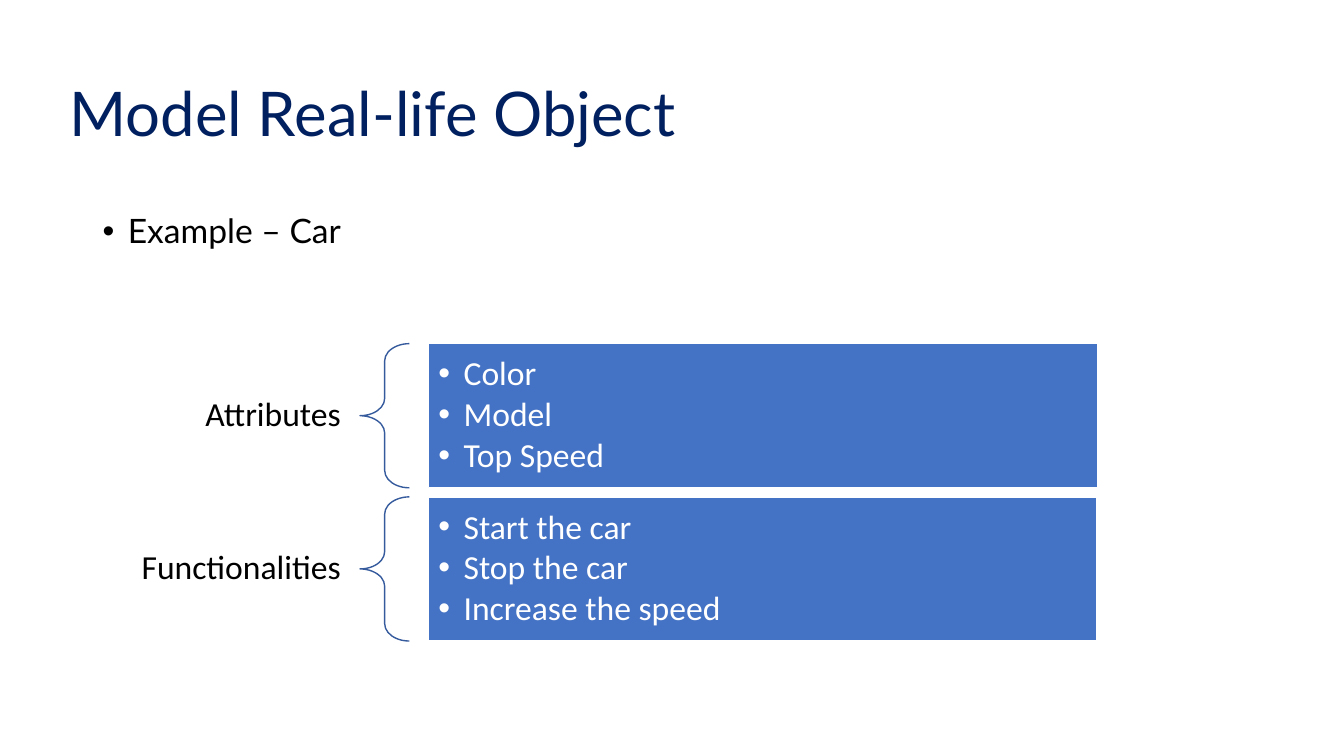
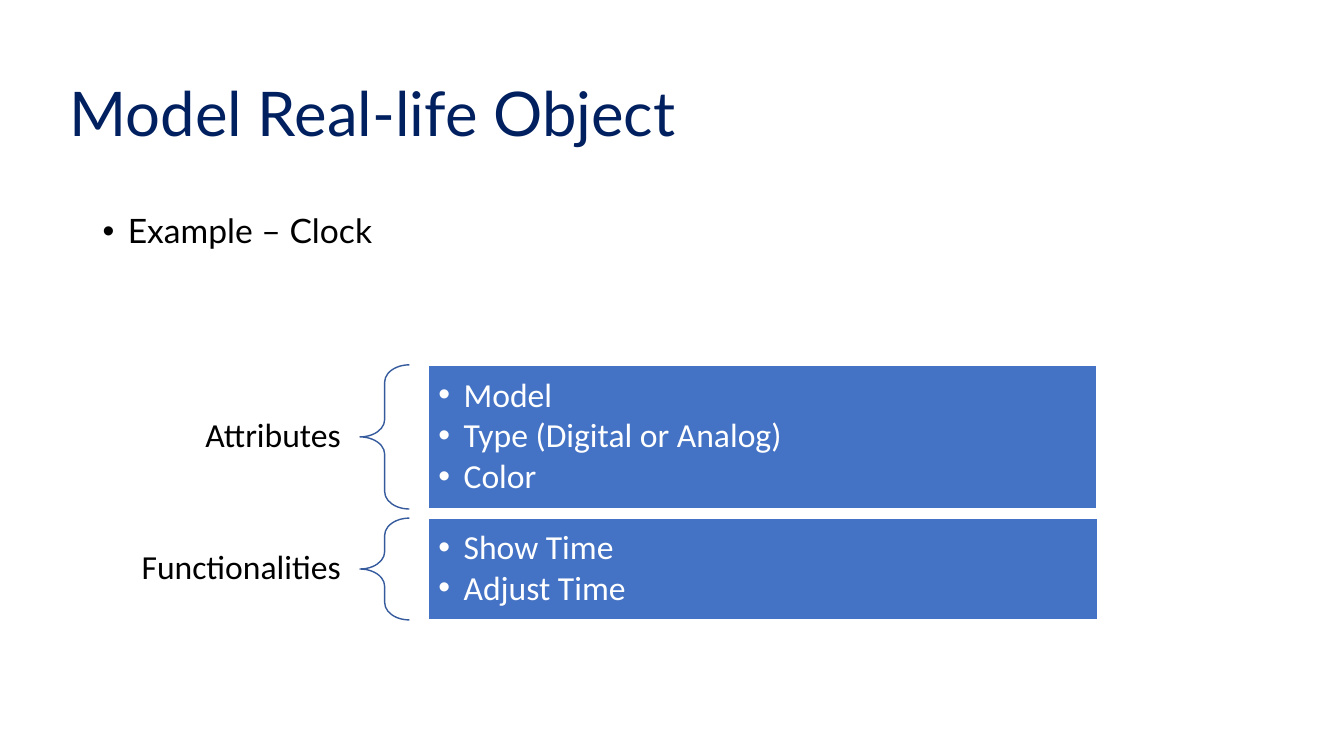
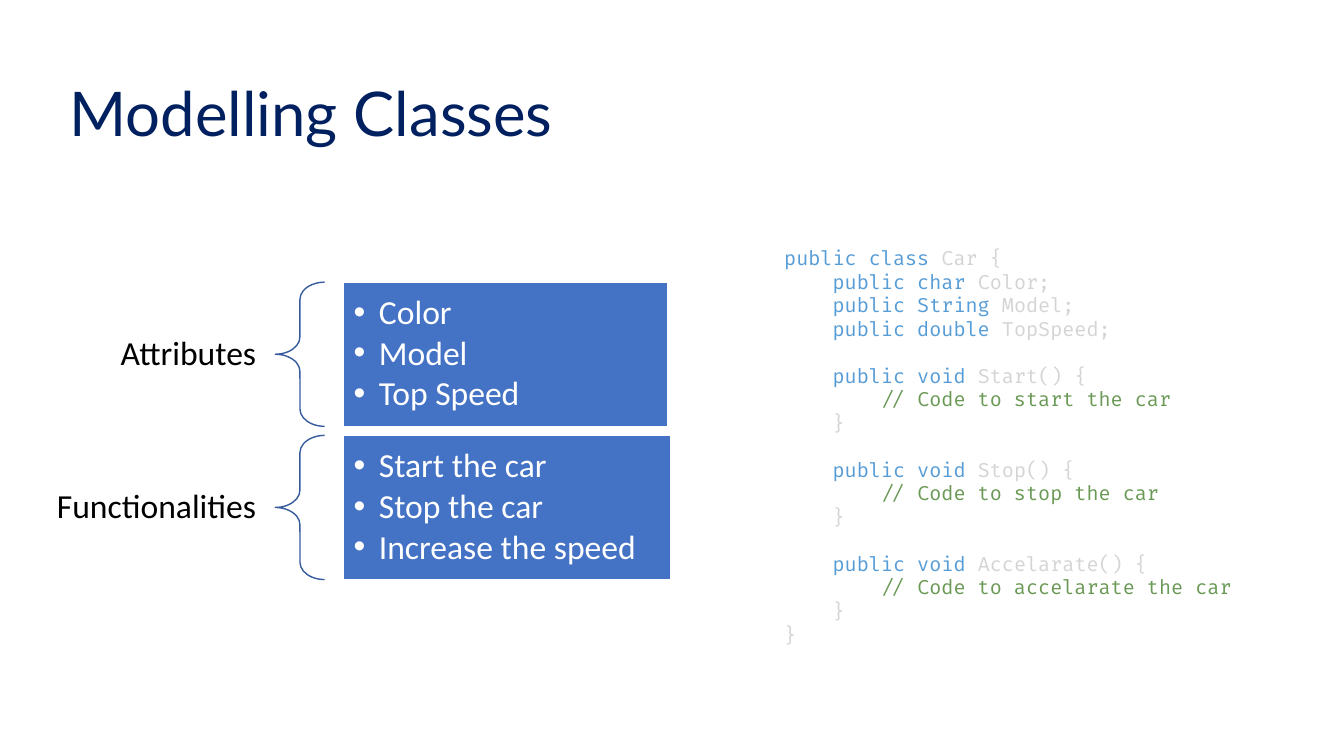
from lxml import etree
from pptx import Presentation, util as u
from pptx.dml.color import RGBColor
from pptx.enum import shapes, text
from pptx.oxml.ns import qn

PX = 9144  # 100 px to the inch

COLORS = {
    "title": "002060", "ink": "000000", "white": "FFFFFF",
    "panel": "4472C4", "brace": "365B9D",
    "keyword": "569CD6", "plain": "D4D4D4", "comment": "6A9955",
}

# Content: each group is (label, panel width, bullet items)
CAR_ATTRIBUTES = ["Color", "Model", "Top Speed"]
CAR_FUNCTIONS = ["Start the car", "Stop the car", "Increase the speed"]
FIELDS = [("char", "Color"), ("String", "Model"), ("double", "TopSpeed")]
METHODS = [("Start", "start"), ("Stop", "stop"), ("Accelarate", "accelarate")]

SLIDES = [
    {"title": "Model Real-life Object", "example": "Example – Car",
     "left": 113, "middle": 488,
     "groups": [("Attributes", 664, CAR_ATTRIBUTES),
                ("Functionalities", 663, CAR_FUNCTIONS)]},
    {"title": "Model Real-life Object", "example": "Example – Clock",
     "left": 113, "middle": 488,
     "groups": [("Attributes", 663, ["Model", "Type (Digital or Analog)", "Color"]),
                ("Functionalities", 664, ["Show Time", "Adjust Time"])]},
    {"title": "Modelling Classes", "code": True,
     "left": 29, "middle": 427,
     "groups": [("Attributes", 321, CAR_ATTRIBUTES),
                ("Functionalities", 324, CAR_FUNCTIONS)]},
]

# Layout in px
TITLE_BOX = (59, 43, 1150, 145)
BODY_BOX = (92, 208, 1150, 426)
CODE_BOX = (768, 239, 510, 411)
LABEL_WIDTH, LABEL_HEIGHT, BRACE_WIDTH = 244, 52, 49
PANEL_GAP, ROW_GAP = 19, 9
ITEM_HEIGHT, PANEL_PADDING = 42, 17
BULLET_INDENT, CODE_INDENT = 25, 48
CODE_LINE = 16.8  # points


def rgb(name):
    return RGBColor.from_string(COLORS[name])


def emu(box):
    return [round(length * PX) for length in box]


def add_run(paragraph, words, size, font, color):
    run = paragraph.add_run()
    run.text = words
    run.font.size = u.Pt(size)
    run.font.name = font
    run.font.color.rgb = rgb(color)


def set_indent(paragraph, left, bullet=False):
    properties = paragraph._p.get_or_add_pPr()
    properties.set("marL", str(left * PX))
    properties.set("indent", str(-left * PX if bullet else 0))
    if bullet:
        etree.SubElement(properties, qn("a:buFont")).set("typeface", "Arial")
        etree.SubElement(properties, qn("a:buChar")).set("char", "•")


def set_frame(shape, insets=(10, 5), anchor=text.MSO_ANCHOR.MIDDLE):
    frame = shape.text_frame
    frame.word_wrap = True
    frame.vertical_anchor = anchor
    frame.margin_left = frame.margin_right = insets[0] * PX
    frame.margin_top = frame.margin_bottom = insets[1] * PX
    return frame


def add_lines(frame, lines, size, font, color, before=0, after=0,
              align=text.PP_ALIGN.LEFT, bullet=False):
    for index, line in enumerate(lines):
        paragraph = frame.add_paragraph() if index else frame.paragraphs[0]
        paragraph.alignment = align
        paragraph.line_spacing = 0.9
        paragraph.space_before = u.Pt(before)
        paragraph.space_after = u.Pt(after)
        if bullet:
            set_indent(paragraph, BULLET_INDENT, bullet=True)
        add_run(paragraph, line, size, font, color)


def add_group(slide, left, top, height, label, width, items):
    # Label
    label_top = top + (height - LABEL_HEIGHT) / 2
    box = slide.shapes.add_textbox(*emu((left, label_top, LABEL_WIDTH, LABEL_HEIGHT)))
    add_lines(set_frame(box, (19, 7)), [label], 24, "Calibri", "ink",
              after=8.4, align=text.PP_ALIGN.RIGHT)

    # Brace
    brace_left = left + LABEL_WIDTH
    brace = slide.shapes.add_shape(shapes.MSO_SHAPE.LEFT_BRACE,
                                   *emu((brace_left, top, BRACE_WIDTH, height)))
    brace.adjustments[0] = 0.35
    brace.fill.background()

    # Panel
    panel_left = brace_left + BRACE_WIDTH + PANEL_GAP
    panel = slide.shapes.add_shape(shapes.MSO_SHAPE.RECTANGLE,
                                   *emu((panel_left, top, width, height)))
    panel.fill.solid()
    panel.fill.fore_color.rgb = rgb("panel")
    add_lines(set_frame(panel, (10, 10)), items, 24, "Calibri", "white",
              after=3.2, bullet=True)

    for shape, color in ((brace, "brace"), (panel, "white")):
        shape.shadow.inherit = False
        shape.line.color.rgb = rgb(color)
        shape.line.width = u.Pt(1)


def add_groups(slide, left, middle, groups):
    heights = [ITEM_HEIGHT * len(items) + PANEL_PADDING for _, _, items in groups]
    top = middle - (sum(heights) + ROW_GAP * (len(groups) - 1)) // 2
    for height, group in zip(heights, groups):
        add_group(slide, left, top, height, *group)
        top += height + ROW_GAP


def code_lines():
    """Yield (indent level, blank line above, runs)."""
    yield 0, False, [("public class", "keyword"), (" Car {", "plain")]
    for kind, name in FIELDS:
        yield 1, False, [(f"public {kind}", "keyword"), (f" {name};", "plain")]
    for name, action in METHODS:
        yield 1, True, [("public void", "keyword"), (f" {name}() {{", "plain")]
        yield 2, False, [(f"// Code to {action} the car", "comment")]
        yield 1, False, [("}", "plain")]
    yield 0, False, [("}", "plain")]


def add_code(slide):
    box = slide.shapes.add_textbox(*emu(CODE_BOX))
    frame = set_frame(box, anchor=text.MSO_ANCHOR.TOP)
    for index, (level, gap, runs) in enumerate(code_lines()):
        paragraph = frame.add_paragraph() if index else frame.paragraphs[0]
        set_indent(paragraph, level * CODE_INDENT)
        paragraph.space_before = u.Pt(CODE_LINE if gap else 0)
        for words, color in runs:
            add_run(paragraph, words, 14, "Fira Code", color)


def main():
    presentation = Presentation()
    presentation.slide_width, presentation.slide_height = emu((1333, 750))
    for content in SLIDES:
        slide = presentation.slides.add_slide(presentation.slide_layouts[6])
        title = slide.shapes.add_textbox(*emu(TITLE_BOX))
        add_lines(set_frame(title), [content["title"]], 44, "Lato", "title")
        if "example" in content:
            body = slide.shapes.add_textbox(*emu(BODY_BOX))
            add_lines(set_frame(body, anchor=text.MSO_ANCHOR.TOP),
                      [content["example"]], 24, "Lato", "ink", before=10, bullet=True)
        add_groups(slide, content["left"], content["middle"], content["groups"])
        if content.get("code"):
            add_code(slide)
    presentation.save("out.pptx")


if __name__ == "__main__":
    main()
